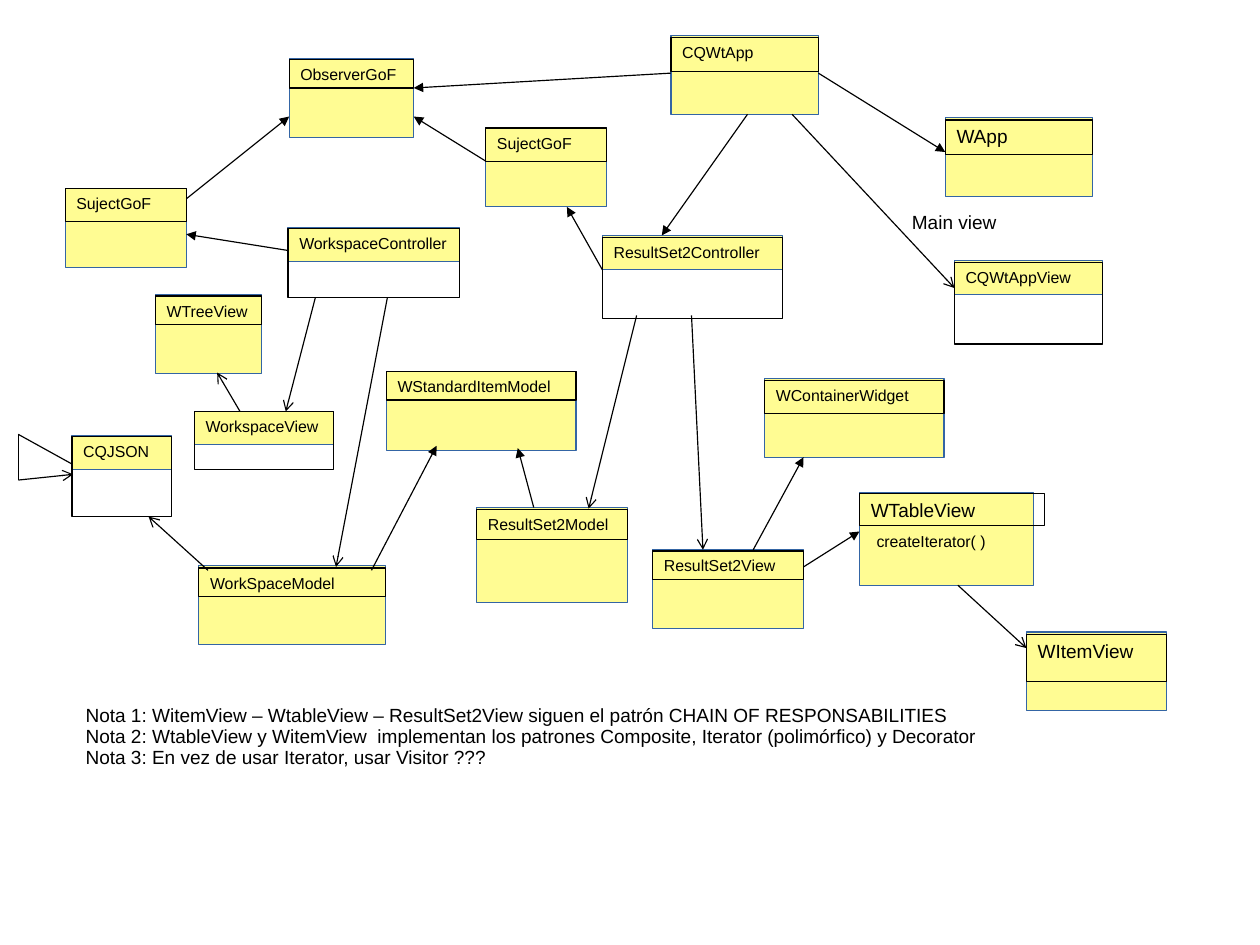
from pptx import Presentation
from pptx.dml.color import RGBColor
from pptx.enum.shapes import MSO_CONNECTOR, MSO_SHAPE
from pptx.enum.text import MSO_ANCHOR, PP_ALIGN
from pptx.oxml.ns import qn
from pptx.util import Cm, Inches, Pt
from lxml.etree import SubElement

YELLOW, BLUE, BLACK = "FFFC93", "3465A4", "000000"
LINE_WIDTH = Pt(0.75)

# Classes: name, left, top, width, yellow height, frame offset, frame height, text size
CLASSES = [
    ("SujectGoF", 0.57, 1.65, 1.06, 0.69, 0, 0.29, 10),
    ("ObserverGoF", 2.53, 0.51, 1.09, 0.69, 0.01, 0.25, 10),
    ("CQWtApp", 5.87, 0.31, 1.29, 0.69, 0.02, 0.3, 10),
    ("WApp", 8.27, 1.03, 1.29, 0.69, 0.02, 0.3, 12),
    ("CQWtAppView", 8.35, 2.28, 1.3, 0.3, 0.02, 0.71, 10),
    ("ResultSet2Controller", 5.27, 2.06, 1.58, 0.3, 0.02, 0.71, 10),
    ("WorkspaceController", 2.52, 1.99, 1.5, 0.3, 0.01, 0.6, 10),
    ("WorkSpaceModel", 1.74, 4.95, 1.63, 0.69, 0.02, 0.25, 10),
    ("CQJSON", 0.63, 3.81, 0.87, 0.3, 0.01, 0.7, 10),
    ("WorkspaceView", 1.7, 3.6, 1.22, 0.29, 0, 0.51, 10),
    ("WTreeView", 1.36, 2.58, 0.93, 0.69, 0.01, 0.25, 10),
    ("WStandardItemModel", 3.38, 3.25, 1.66, 0.69, 0, 0.25, 10),
    ("ResultSet2Model", 4.17, 4.44, 1.32, 0.83, 0.02, 0.26, 10),
    ("ResultSet2View", 5.71, 4.81, 1.32, 0.69, 0.01, 0.25, 10),
    ("WContainerWidget", 6.69, 3.31, 1.57, 0.69, 0.02, 0.29, 10),
    ("WTableView", 7.52, 4.31, 1.52, 0.81, 0.01, 0.28, 12),
    ("WItemView", 8.98, 5.53, 1.23, 0.69, 0.02, 0.41, 12),
    ("SujectGoF", 4.25, 1.12, 1.06, 0.69, 0, 0.29, 10),
]
EXTRA_FRAME_WIDTH = {"WTableView": 0.1}

# Lines by arrowhead: start x, start y, end x, end y
LINES = {
    "triangle": [  # inheritance
        (5.87, 0.64, 3.62, 0.77),
        (7.16, 0.64, 8.27, 1.33),
        (6.54, 1, 5.79, 2.06),
        (1.63, 1.74, 2.53, 1.02),
        (2.51, 2.19, 1.63, 2.05),
        (3.25, 4.99, 3.82, 3.9),
        (4.67, 4.44, 4.53, 3.92),
        (6.59, 4.81, 7.03, 4),
        (7.03, 4.96, 7.52, 4.65),
        (4.25, 1.41, 3.62, 1.02),
        (5.27, 2.36, 4.96, 1.81),
    ],
    "arrow": [  # association
        (6.93, 1, 8.35, 2.52),
        (0.16, 4.2, 0.64, 4.15),
        (3.39, 2.6, 2.94, 4.96),
        (1.82, 4.99, 1.3, 4.52),
        (2.76, 2.6, 2.5, 3.6),
        (2.1, 3.6, 1.9, 3.26),
        (5.57, 2.76, 5.15, 4.45),
        (6.05, 2.76, 6.15, 4.81),
        (8.38, 5.12, 8.98, 5.67),
    ],
    "none": [  # first two sides of the CQJSON loop
        (0.63, 4.06, 0.16, 3.8),
        (0.16, 3.8, 0.16, 4.2),
    ],
}

# Free text: paragraphs, position and size, text size
LABELS = [
    (["Main view"], (7.88, 1.8, 1.18, 0.4), 12),
    (["createIterator( )"], (7.57, 4.61, 1.41, 0.25), 10),
    (["Nota 1: WitemView – WtableView – ResultSet2View siguen el patrón CHAIN OF RESPONSABILITIES",
      "Nota 2: WtableView y WitemView  implementan los patrones Composite, Iterator (polimórfico) y Decorator",
      "Nota 3: En vez de usar Iterator, usar Visitor ???"],
     (0.65, 6.11, 9.82, 1.61), 12),
]

SLIDE_FORMAT = {"slide_width": Cm(28), "slide_height": Cm(21)}
FRAME_FORMAT = {
    "word_wrap": True, "vertical_anchor": MSO_ANCHOR.TOP,
    "margin_left": Inches(0.1), "margin_top": Inches(0.06),
    "margin_right": Inches(0.05), "margin_bottom": 0,
}
PARAGRAPH_FORMAT = {"alignment": PP_ALIGN.LEFT, "line_spacing": 0.93}


def color(value):
    return RGBColor.from_string(value)


def set_attributes(target, values):
    for name, value in values.items():
        setattr(target, name, value)


def style_line(line, value):
    line.color.rgb = color(value)
    line.width = LINE_WIDTH


def write(shape, texts, size):
    text_frame = shape.text_frame
    set_attributes(text_frame, FRAME_FORMAT)
    text_frame.text = "\n".join(texts)
    for paragraph in text_frame.paragraphs:
        set_attributes(paragraph, PARAGRAPH_FORMAT)
        set_attributes(paragraph.font, {"name": "Arial", "size": Pt(size)})
        paragraph.font.color.rgb = color(BLACK)


def add_box(slide, box, line_color, fill=None):
    shape = slide.shapes.add_shape(MSO_SHAPE.RECTANGLE, *map(Inches, box))
    shape.shadow.inherit = False
    if fill:
        shape.fill.solid()
        shape.fill.fore_color.rgb = color(fill)
    else:
        shape.fill.background()
    style_line(shape.line, line_color)
    return shape


def add_line(slide, ends, head):
    connector = slide.shapes.add_connector(MSO_CONNECTOR.STRAIGHT, *map(Inches, ends))
    style_line(connector.line, BLACK)
    properties = connector._element.spPr
    SubElement(properties.find(qn("a:ln")), qn("a:tailEnd"), type=head)
    SubElement(properties, qn("a:effectLst"))


def main():
    presentation = Presentation()
    set_attributes(presentation, SLIDE_FORMAT)
    slide = presentation.slides.add_slide(presentation.slide_layouts[6])

    # Class boxes: a yellow area under a black frame with the name
    for name, left, top, width, height, offset, frame_height, size in CLASSES:
        add_box(slide, (left, top, width, height), BLUE, YELLOW)
        frame_width = width + EXTRA_FRAME_WIDTH.get(name, 0)
        frame = add_box(slide, (left, top + offset, frame_width, frame_height), BLACK)
        write(frame, [name], size)

    # Relations
    for head, lines in LINES.items():
        for ends in lines:
            add_line(slide, ends, head)

    # Labels and notes
    for texts, box, size in LABELS:
        write(slide.shapes.add_textbox(*map(Inches, box)), texts, size)

    presentation.save("out.pptx")


if __name__ == "__main__":
    main()
